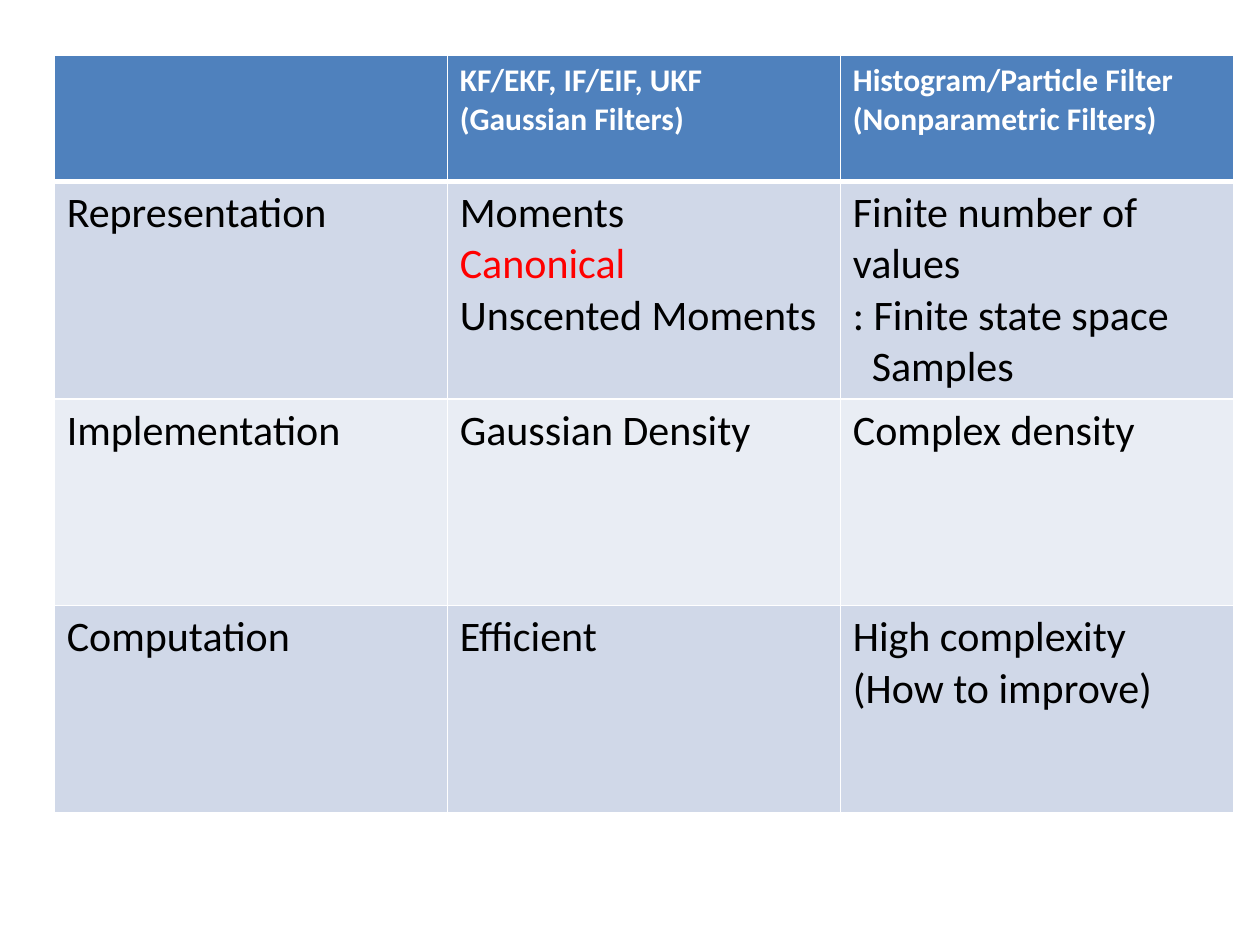
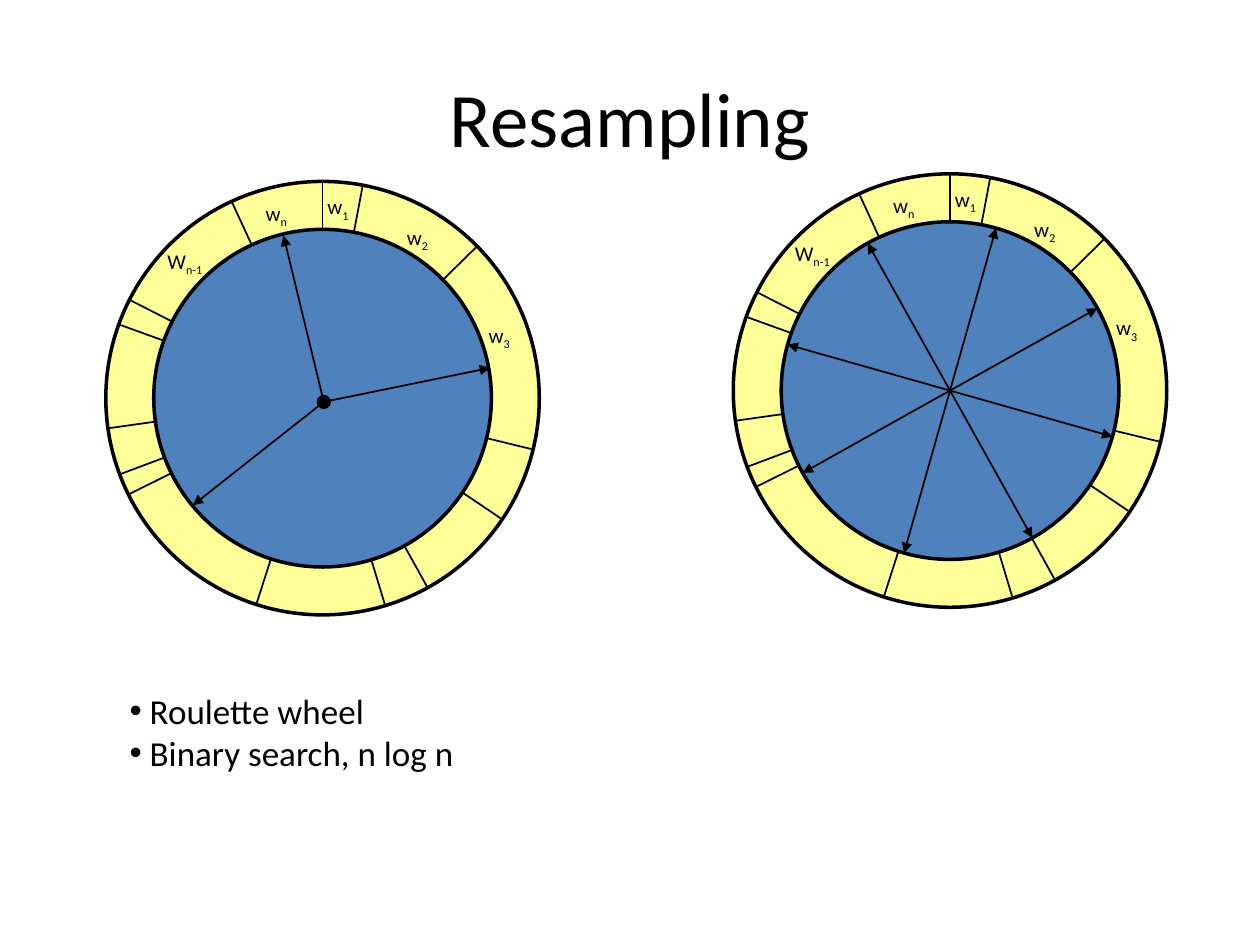
from math import cos, radians, sin

from pptx import Presentation
from pptx.dml.color import RGBColor
from pptx.enum.shapes import MSO_CONNECTOR, MSO_SHAPE
from pptx.enum.text import MSO_ANCHOR as ANCHOR, MSO_AUTO_SIZE as AUTO, PP_ALIGN as ALIGN
from pptx.oxml.ns import qn
from pptx.util import Inches, Pt
from lxml.etree import SubElement

FONT = "Calibri"
BLACK, WHITE, RED = "000000", "FFFFFF", "FF0000"
BLUE, YELLOW = "4F81BD", "FFFF99"
BANDS = ["D0D8E8", "E9EDF4"]

FILTER_ROWS = [
    ["", "KF/EKF, IF/EIF, UKF\n(Gaussian Filters)",
     "Histogram/Particle Filter\n(Nonparametric Filters)"],
    ["Representation", "Moments\nCanonical\nUnscented Moments",
     "Finite number of values\n: Finite state space\nSamples"],
    ["Implementation", "Gaussian Density", "Complex density"],
    ["Computation", "Efficient", "High complexity\n(How to improve)"],
]

RING_RADIUS, DISC_RADIUS = 1.72, 1.34
WEIGHT_ANGLES = [0, 10.7, 45.5, 103.7, 124, 151, 163.2, 197.8,
                 243.6, 249.4, 262, 289.9, 297, 335.2]
WEIGHT_LABELS = [
    ("w", "2", 0.57, -1.43, 0.41),
    ("w", "3", 1.22, -0.65, 0.41),
    ("w", "1", -0.06, -1.67, 0.41),
    ("w", "n", -0.55, -1.62, 0.41),
    ("W", "n-1", -1.33, -1.24, 0.56),
]


def rgb(color):
    return RGBColor.from_string(color)


def polar(cx, cy, radius, angle):
    a = radians(angle)
    return cx + radius * sin(a), cy - radius * cos(a)


class Deck:
    def __init__(self):
        self.prs = Presentation()
        self.prs.slide_width, self.prs.slide_height = Inches(10), Inches(7.5)

    def add_slide(self, title=None):
        layout = self.prs.slide_layouts[5 if title else 6]
        self.s = self.prs.slides.add_slide(layout)
        if title:
            sp = self.s.shapes.title
            sp.left, sp.top, sp.width, sp.height = map(Inches, (0.5, 0.3, 9, 1.25))
            tf = sp.text_frame
            tf.text = title
            tf.vertical_anchor = ANCHOR.MIDDLE
            tf.paragraphs[0].alignment = ALIGN.CENTER
            self.style(tf.paragraphs[0], 44)

    def style(self, p, size, color=BLACK, bold=False):
        for r in p.runs:
            r.font.name, r.font.size, r.font.bold = FONT, Pt(size), bold
            r.font.color.rgb = rgb(color)

    def indent(self, p, left, first=0):
        pPr = p._p.get_or_add_pPr()
        pPr.set("marL", str(Inches(left)))
        pPr.set("indent", str(Inches(first)))
        return pPr

    def circle(self, cx, cy, radius, fill, width=2):
        sp = self.s.shapes.add_shape(
            MSO_SHAPE.OVAL, Inches(cx - radius), Inches(cy - radius),
            Inches(2 * radius), Inches(2 * radius))
        sp.shadow.inherit = False
        sp.fill.solid()
        sp.fill.fore_color.rgb = rgb(fill)
        sp.line.color.rgb = rgb(BLACK)
        sp.line.width = Pt(width)

    def line(self, start, end, heads=()):
        sp = self.s.shapes.add_connector(
            MSO_CONNECTOR.STRAIGHT, *map(Inches, (*start, *end)))
        sp.line.color.rgb = rgb(BLACK)
        sp.line.width = Pt(1)
        ln = sp.line._get_or_add_ln()
        for head in heads:
            SubElement(ln, qn(f"a:{head}"), type="triangle")
        SubElement(sp._element.spPr, qn("a:effectLst"))

    def text_box(self, x, y, w, h, wrap=True):
        tf = self.s.shapes.add_textbox(*map(Inches, (x, y, w, h))).text_frame
        tf.word_wrap = wrap
        tf.auto_size = AUTO.SHAPE_TO_FIT_TEXT
        return tf

    def label(self, base, sub, x, y, w):
        p = self.text_box(x, y, w, 0.28).paragraphs[0]
        for text in (base, sub):
            p.add_run().text = text
        self.style(p, 12)
        p.runs[1]._r.get_or_add_rPr().set("baseline", "-25000")

    def bullets(self, x, y, w, h, items):
        tf = self.text_box(x, y, w, h, wrap=False)
        tf.text = "\n".join(items)
        for p in tf.paragraphs:
            self.style(p, 20)
            pPr = self.indent(p, 0.16, -0.16)
            SubElement(pPr, qn("a:buFont"), typeface="Arial")
            SubElement(pPr, qn("a:buChar"), char="•")

    def borders(self, cell, widths):
        tcPr = cell._tc.get_or_add_tcPr()
        for side, width in widths.items():
            ln = SubElement(tcPr, qn(f"a:ln{side}"), w=str(Pt(width)))
            SubElement(SubElement(ln, qn("a:solidFill")), qn("a:srgbClr"), val=WHITE)

    def table(self, x, y, col_width, row_heights, rows):
        n = len(rows[0])
        table = self.s.shapes.add_table(
            len(rows), n, Inches(x), Inches(y),
            Inches(n * col_width), Inches(sum(row_heights))).table
        for col in table.columns:
            col.width = Inches(col_width)
        for i, (row, height) in enumerate(zip(rows, row_heights)):
            table.rows[i].height = Inches(height)
            header = i == 0
            for cell, text in zip(table.rows[i].cells, row):
                self.borders(cell, {"L": 1, "R": 1, "T": 3 if i == 1 else 1,
                                    "B": 3 if header else 1})
                cell.fill.solid()
                cell.fill.fore_color.rgb = rgb(BLUE if header else BANDS[(i - 1) % 2])
                cell.text_frame.text = text
                for p in cell.text_frame.paragraphs:
                    color = RED if p.text == "Canonical" else BLACK
                    self.style(p, 18 if header else 24, WHITE if header else color, header)
                    if p.text == "Samples":
                        self.indent(p, 0.15)

    def wheel(self, cx, cy):
        self.circle(cx, cy, RING_RADIUS, YELLOW)
        for angle in WEIGHT_ANGLES:
            self.line((cx, cy), polar(cx, cy, RING_RADIUS, angle))
        for base, sub, dx, dy, w in WEIGHT_LABELS:
            self.label(base, sub, cx + dx, cy + dy, w)
        self.circle(cx, cy, DISC_RADIUS, BLUE)


def main():
    deck = Deck()

    deck.add_slide()
    deck.table(0.43, 0.44, 3.12, [1, 1.64, 1.64, 1.64], FILTER_ROWS)

    deck.add_slide("Resampling")
    cx, cy = 7.54, 3.1
    deck.wheel(cx, cy)
    for k in range(4):
        angle = 15.8 + 45 * k
        deck.line(polar(cx, cy, DISC_RADIUS, angle + 180),
                  polar(cx, cy, DISC_RADIUS, angle), ("headEnd", "tailEnd"))

    deck.wheel(2.56, 3.16)
    hub = (2.57, 3.19)
    for tip in [(3.89, 2.92), (2.25, 1.87), (1.53, 4.01)]:
        deck.line(hub, tip, ("tailEnd",))
    deck.circle(*hub, 0.05, BLACK, 1)
    deck.bullets(0.93, 5.42, 3.55, 0.87, ["Roulette wheel", "Binary search, n log n"])

    deck.prs.save("out.pptx")


if __name__ == "__main__":
    main()
